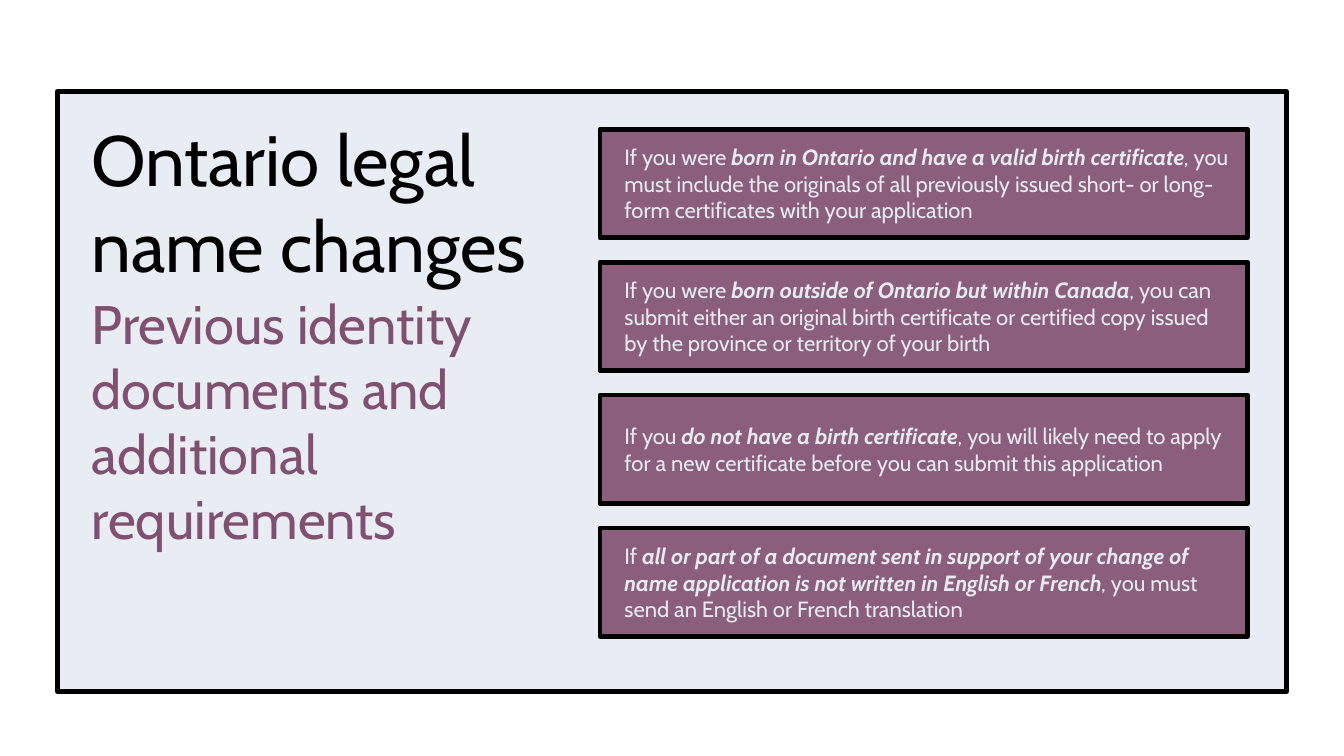
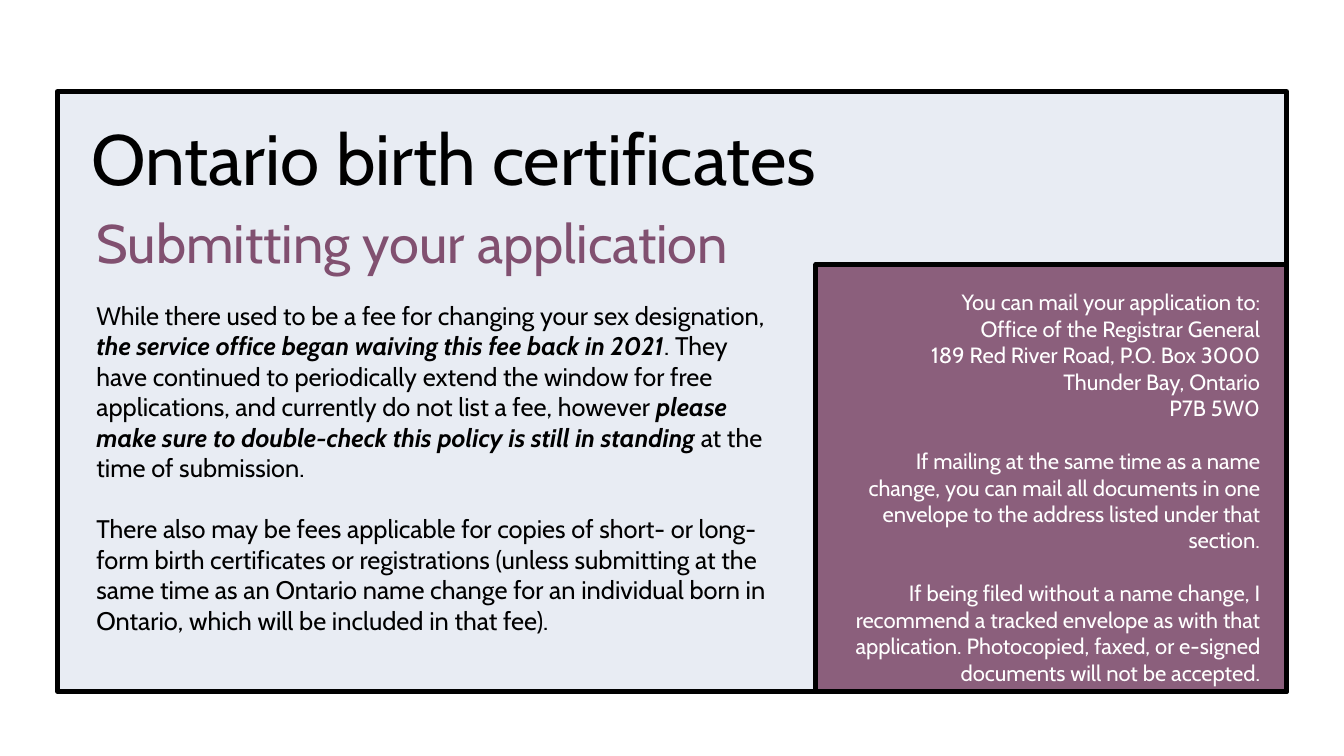
"""Build two slides on Ontario name changes and birth certificates."""
from lxml.etree import SubElement
from pptx import Presentation
from pptx.dml.color import RGBColor
from pptx.enum.shapes import MSO_SHAPE as Shape
from pptx.enum.text import MSO_ANCHOR as Anchor, MSO_AUTO_SIZE as AutoSize, PP_ALIGN as Align
from pptx.oxml.ns import qn
from pptx.util import Inches, Pt

FONT = "Cabin"
BLACK = RGBColor(0x00, 0x00, 0x00)
WHITE = RGBColor(0xFF, 0xFF, 0xFF)
PALE = RGBColor(0xE6, 0xEB, 0xF2)
PLUM = RGBColor(0x81, 0x50, 0x70)


def add_panel(page, left, top, width, height, color):
    """Add an outlined rectangle with a slightly transparent fill."""
    panel = page.shapes.add_shape(
        Shape.RECTANGLE, Inches(left), Inches(top), Inches(width), Inches(height))
    panel.shadow.inherit = False
    panel.fill.solid()
    panel.fill.fore_color.rgb = color
    fill = panel.element.spPr.find(qn("a:solidFill"))
    SubElement(fill[0], qn("a:alpha"), val="90000")
    panel.line.color.rgb = BLACK
    panel.line.width = Pt(2.83)
    SubElement(panel.element.spPr.find(qn("a:ln")), qn("a:round"))
    return panel


def write(box, paragraphs, size, color, margins=(0, 0, 0, 0),
          anchor=Anchor.TOP, align=Align.LEFT, gaps=()):
    """Write paragraphs of runs, with every second run in bold italics."""
    frame = box.text_frame
    frame.word_wrap = True
    frame.auto_size = AutoSize.NONE
    frame.vertical_anchor = anchor
    frame.margin_left, frame.margin_top, frame.margin_right, frame.margin_bottom = map(
        Inches, margins)
    for index, runs in enumerate(paragraphs):
        para = frame.add_paragraph() if index else frame.paragraphs[0]
        para.alignment = align
        if index in gaps:
            para.space_before = Pt(size * 1.2)
        for position, text in enumerate(runs):
            span = para.add_run()
            span.text = text
            span.font.name = FONT
            span.font.size = Pt(size)
            span.font.color.rgb = color
            span.font.bold = span.font.italic = position % 2 == 1


deck = Presentation()
deck.slide_width, deck.slide_height = Inches(11.02), Inches(6.2)

HEADINGS = [
    ("Ontario legal name changes", (0.75, 0.99, 4.17, 1.32),
     "Previous identity documents and additional requirements", (0.75, 2.44, 3.98, 2.02)),
    ("Ontario birth certificates", (0.75, 0.94, 7.4, 0.7),
     "Submitting your application", (0.79, 1.68, 6.53, 0.6)),
]
pages = []
for heading, heading_area, subheading, subheading_area in HEADINGS:
    page = deck.slides.add_slide(deck.slide_layouts[5])
    title = page.shapes.title
    backdrop = add_panel(page, 0.47, 0.75, 10.08, 4.92, PALE)
    title.element.addprevious(backdrop.element)
    title.left, title.top, title.width, title.height = map(Inches, heading_area)
    write(title, [[heading]], 42, BLACK, anchor=Anchor.MIDDLE)
    subtitle = page.shapes.add_textbox(*map(Inches, subheading_area))
    write(subtitle, [[subheading]], 32, PLUM, anchor=Anchor.MIDDLE)
    pages.append(page)
name_page, birth_page = pages

REQUIREMENTS = [
    ("If you were ", "born in Ontario and have a valid birth certificate",
     ", you must include the originals of all previously issued short- or long-form "
     "certificates with your application"),
    ("If you were ", "born outside of Ontario but within Canada",
     ", you can submit either an original birth certificate or certified copy issued "
     "by the province or territory of your birth"),
    ("If you ", "do not have a birth certificate",
     ", you will likely need to apply for a new certificate before you can submit "
     "this application"),
    ("If ", "all or part of a document sent in support of your change of name "
     "application is not written in English or French",
     ", you must send an English or French translation"),
]
for row, requirement in enumerate(REQUIREMENTS):
    card = add_panel(name_page, 4.92, 1.06 + row * 1.09, 5.31, 0.89, PLUM)
    write(card, [requirement], 13, PALE, (0.2, 0, 0.11, 0), Anchor.MIDDLE)

FEES = [
    ("While there used to be a fee for changing your sex designation, ",
     "the service office began waiving this fee back in 2021",
     ". They have continued to periodically extend the window for free applications, "
     "and currently do not list a fee, however ",
     "please make sure to double-check this policy is still in standing",
     " at the time of submission."),
    ("There also may be fees applicable for copies of short- or long-form birth "
     "certificates or registrations (unless submitting at the same time as an Ontario "
     "name change for an individual born in Ontario, which will be included in that fee).",),
]
fees = birth_page.shapes.add_textbox(Inches(0.79), Inches(2.46), Inches(5.55), Inches(2.6))
write(fees, FEES, 15, BLACK, gaps=(1,))

MAILING = [
    ["You can mail your application to:"],
    ["Office of the Registrar General"],
    ["189 Red River Road, P.O. Box 3000"],
    ["Thunder Bay, Ontario"],
    ["P7B 5W0"],
    ["If mailing at the same time as a name change, you can mail all documents in one "
     "envelope to the address listed under that section."],
    ["If being filed without a name change, I recommend a tracked envelope as with that "
     "application. Photocopied, faxed, or e-signed documents will not be accepted."],
]
mailing = add_panel(birth_page, 6.69, 2.17, 3.86, 3.5, PLUM)
write(mailing, MAILING, 13, WHITE, (0.3, 0.2, 0.22, 0), align=Align.RIGHT, gaps=(5, 6))

deck.save("out.pptx")
